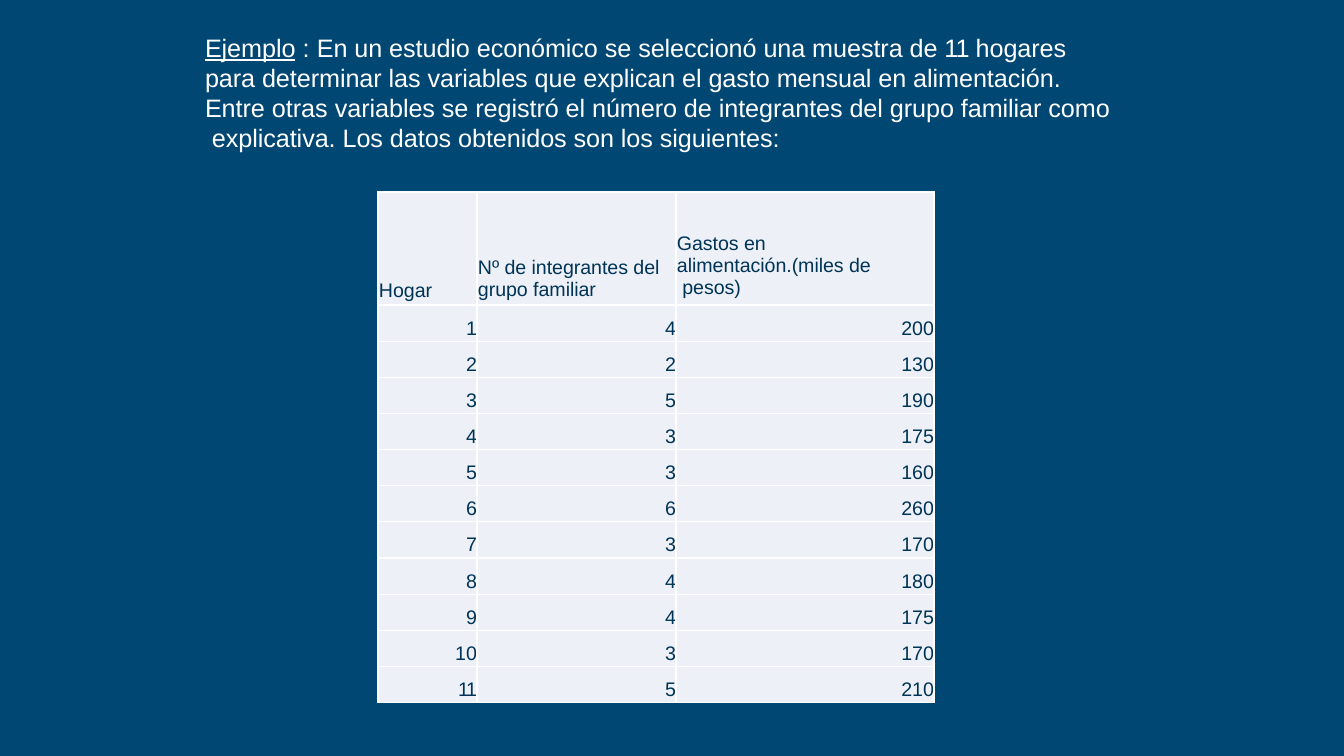
from dataclasses import dataclass
from typing import NamedTuple

from lxml import etree
from pptx import Presentation
from pptx.dml.color import RGBColor
from pptx.enum.text import MSO_ANCHOR, MSO_AUTO_SIZE, PP_ALIGN
from pptx.oxml.ns import qn
from pptx.util import Emu, Pt

TOP, BOTTOM = MSO_ANCHOR.TOP, MSO_ANCHOR.BOTTOM
LEFT, RIGHT = PP_ALIGN.LEFT, PP_ALIGN.RIGHT
NO_AUTOFIT = MSO_AUTO_SIZE.NONE
SLIDE_WIDTH, SLIDE_HEIGHT = 1344, 756
EMU_PER_PX = 12192000 / SLIDE_WIDTH
TITLE_ONLY = 5


@dataclass(frozen=True)
class Theme:
    font: str = "Arial"
    background: str = "004773"
    title_color: str = "FFFFFF"
    cell_fill: str = "EDF0F6"
    cell_text: str = "003456"
    border: str = "FFFFFF"
    title_size: float = 18
    title_leading: float = 21.6
    table_size: float = 14
    table_leading: float = 15.9
    border_width: float = 1


class TextRun(NamedTuple):
    """Text with its letter spacing in hundredths of a point."""
    text: str
    spacing: int = -5
    underline: bool = False


@dataclass(frozen=True)
class Column:
    heading: str
    width: int
    heading_gap: int


THEME = Theme()
STATEMENT = [
    TextRun("Ejemplo", underline=True),
    TextRun(" : ", 5),
    TextRun("En un estudio económico se seleccionó una muestra de "),
    TextRun("11 ", -70),
    TextRun("hogares\npara determinar las variables que explican el gasto "
            "mensual en alimentación.\nEntre "),
    TextRun("otras ", 0),
    TextRun("variables se registró el número de integrantes del grupo familiar "
            "como\n explicativa. Los datos obtenidos son los siguientes:"),
]
COLUMNS = [
    Column("Hogar", 99, 3),
    Column("Nº de integrantes del\ngrupo familiar", 199, 4),
    Column("Gastos en\nalimentación.(miles de\n pesos)", 258, 6),
]
MEMBERS = [4, 2, 5, 3, 3, 6, 3, 4, 4, 3, 5]
EXPENSES = [200, 130, 190, 175, 160, 260, 170, 180, 175, 170, 210]
TABLE_LEFT, TABLE_TOP, TABLE_HEIGHT = 378, 192, 511
HEADING_HEIGHT = 113


def px(length: float) -> Emu:
    return Emu(round(length * EMU_PER_PX))


def add_runs(paragraph, runs: list[TextRun], size: float, color: str) -> None:
    """Add the runs in order, with a line break at each newline."""
    for part in runs:
        for index, line in enumerate(part.text.split("\n")):
            if index:
                paragraph.add_line_break()
            if not line:
                continue
            run = paragraph.add_run()
            run.text = line
            run.font.name = THEME.font
            run.font.size = Pt(size)
            run.font.bold = False
            run.font.underline = part.underline
            run.font.color.rgb = RGBColor.from_string(color)
            run.font._element.set("spc", str(part.spacing))


def add_borders(cell) -> None:
    properties = cell._tc.get_or_add_tcPr()
    for index, side in enumerate(("a:lnL", "a:lnR", "a:lnT", "a:lnB")):
        line = etree.Element(qn(side), w=str(Pt(THEME.border_width)))
        fill = etree.SubElement(line, qn("a:solidFill"))
        etree.SubElement(fill, qn("a:srgbClr"), val=THEME.border)
        properties.insert(index, line)


def fill_cell(cell, run: TextRun, heading_gap: int | None = None) -> None:
    """Write a heading when a bottom gap is given, otherwise a number."""
    is_heading = heading_gap is not None
    cell.margin_left = px(1 if is_heading else 0)
    cell.margin_right = 0
    cell.margin_top = px(0 if is_heading else 12)
    cell.margin_bottom = px(heading_gap or 0)
    cell.vertical_anchor = BOTTOM if is_heading else TOP
    cell.fill.solid()
    cell.fill.fore_color.rgb = RGBColor.from_string(THEME.cell_fill)
    add_borders(cell)
    paragraph = cell.text_frame.paragraphs[0]
    paragraph.alignment = LEFT if is_heading else RIGHT
    if not is_heading:
        paragraph.line_spacing = Pt(THEME.table_leading)
    add_runs(paragraph, [run], THEME.table_size, THEME.cell_text)


def write_title(title) -> None:
    title.left, title.top = px(205), px(31)
    title.width, title.height = px(925), px(124)
    frame = title.text_frame
    frame.margin_left = frame.margin_right = frame.margin_bottom = 0
    frame.margin_top = px(1)
    frame.vertical_anchor = TOP
    frame.word_wrap = True
    frame.auto_size = NO_AUTOFIT
    paragraph = frame.paragraphs[0]
    paragraph.alignment = LEFT
    paragraph.line_spacing = Pt(THEME.title_leading)
    add_runs(paragraph, STATEMENT, THEME.title_size, THEME.title_color)


def add_household_table(slide) -> None:
    table_width = sum(column.width for column in COLUMNS)
    table = slide.shapes.add_table(
        len(MEMBERS) + 1, len(COLUMNS),
        px(TABLE_LEFT), px(TABLE_TOP), px(table_width), px(TABLE_HEIGHT)).table
    table.first_row = table.horz_banding = False
    table.rows[0].height = px(HEADING_HEIGHT)
    for index, column in enumerate(COLUMNS):
        table.columns[index].width = px(column.width)
        fill_cell(table.cell(0, index), TextRun(column.heading),
                  column.heading_gap)
    row_height = px((TABLE_HEIGHT - HEADING_HEIGHT) / len(MEMBERS))
    for row, (members, expense) in enumerate(zip(MEMBERS, EXPENSES), start=1):
        table.rows[row].height = row_height
        for index, value in enumerate((row, members, expense)):
            spacing = -110 if value == 11 else -5
            fill_cell(table.cell(row, index), TextRun(str(value), spacing))


def main() -> None:
    presentation = Presentation()
    presentation.slide_width = px(SLIDE_WIDTH)
    presentation.slide_height = px(SLIDE_HEIGHT)
    slide = presentation.slides.add_slide(presentation.slide_layouts[TITLE_ONLY])
    slide.background.fill.solid()
    slide.background.fill.fore_color.rgb = RGBColor.from_string(THEME.background)
    write_title(slide.shapes.title)
    add_household_table(slide)
    presentation.save("out.pptx")


if __name__ == "__main__":
    main()
